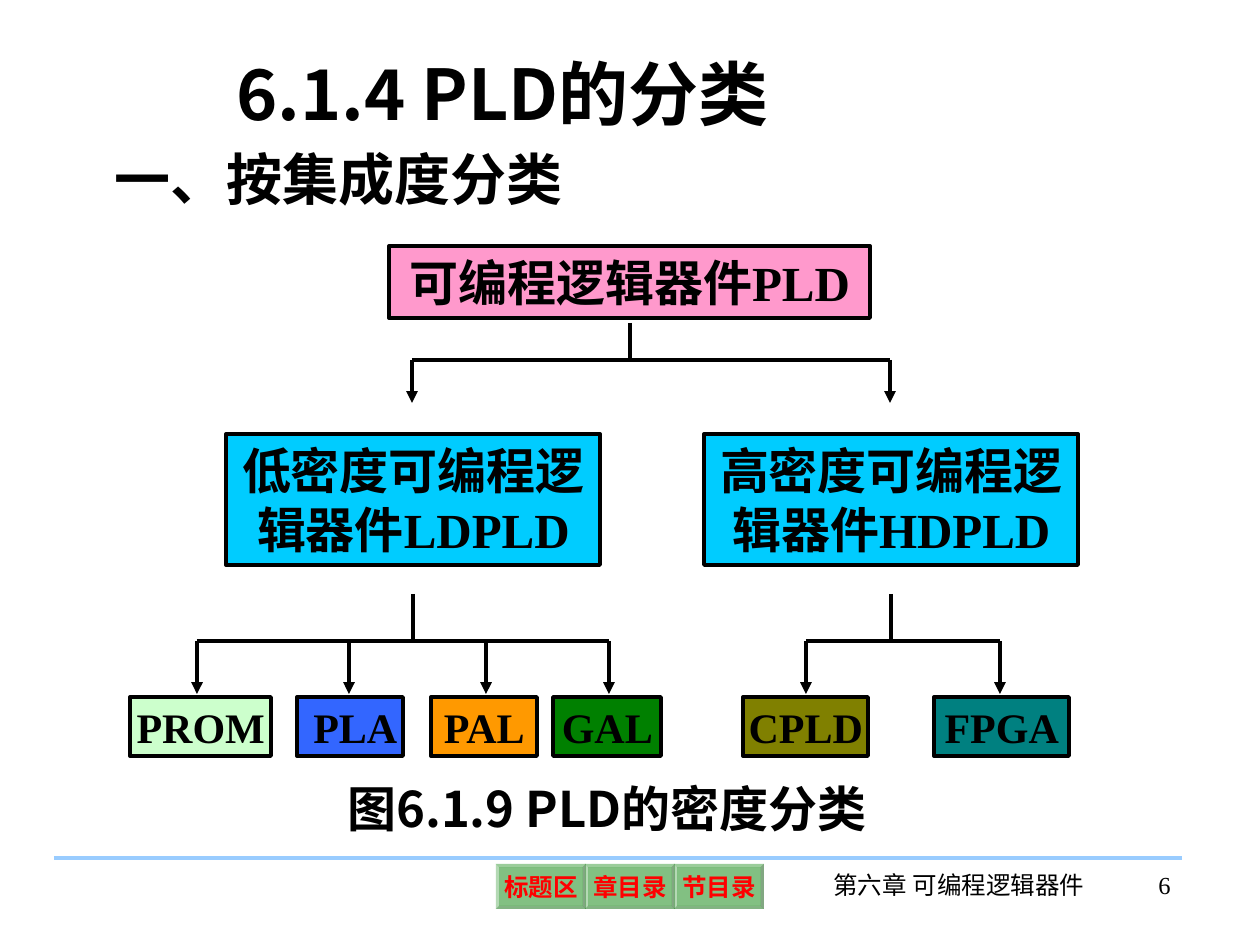
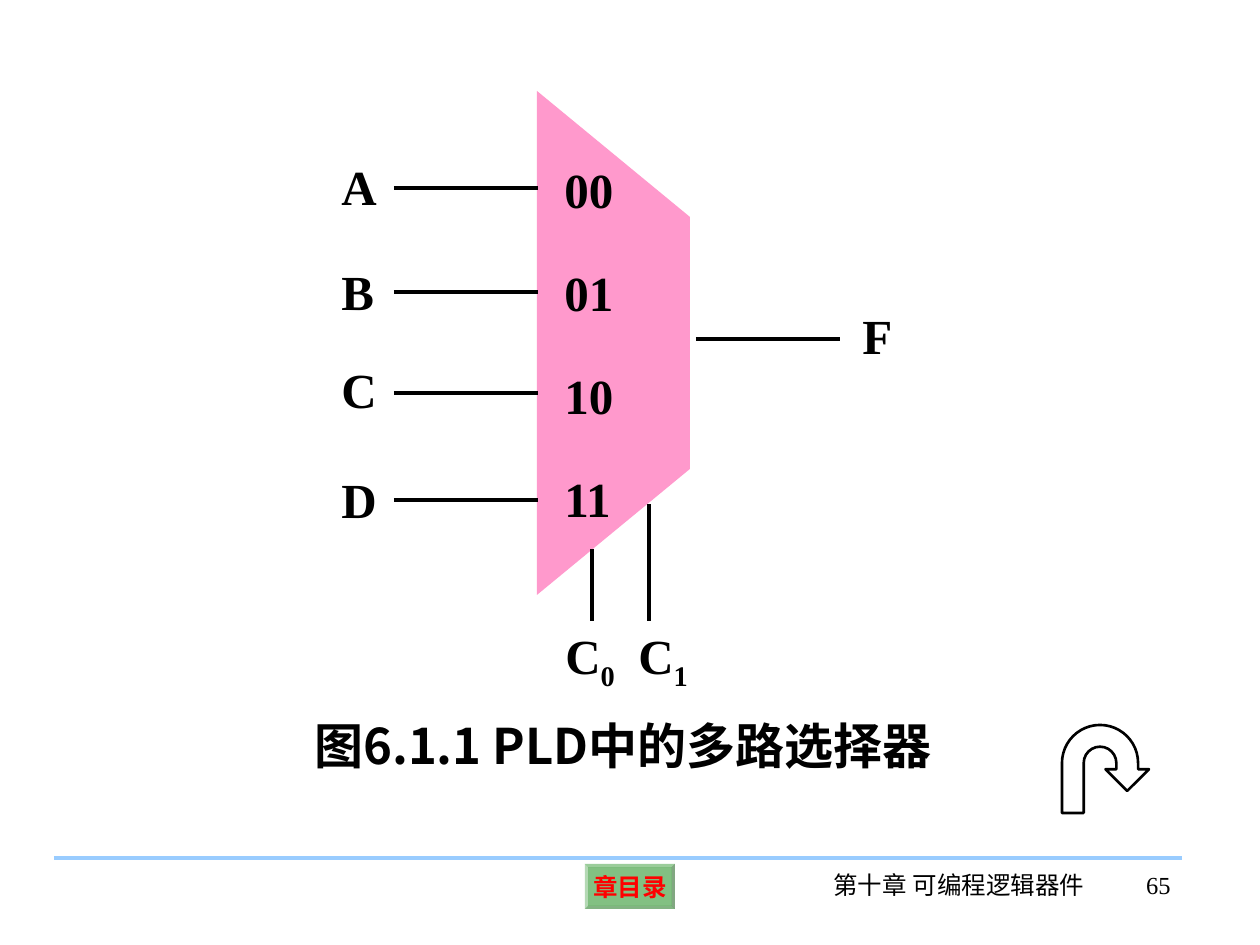
from dataclasses import dataclass

from lxml import etree
from pptx import Presentation
from pptx.dml.color import RGBColor
from pptx.enum.shapes import MSO_CONNECTOR, MSO_SHAPE
from pptx.enum.text import MSO_ANCHOR, PP_ALIGN
from pptx.oxml.ns import qn
from pptx.util import Emu, Pt

STRAIGHT = MSO_CONNECTOR.STRAIGHT
RECT, BEVEL, U_TURN = MSO_SHAPE.RECTANGLE, MSO_SHAPE.BEVEL, MSO_SHAPE.U_TURN_ARROW
LEFT, CENTER, RIGHT = PP_ALIGN.LEFT, PP_ALIGN.CENTER, PP_ALIGN.RIGHT
MIDDLE = MSO_ANCHOR.MIDDLE
PX = 914400 / 126


@dataclass(frozen=True)
class Theme:
    ink: str = "000000"
    rule: str = "99CCFF"
    button: str = "008000"
    button_text: str = "FF0000"
    pink: str = "FF99CC"
    cyan: str = "00CCFF"
    serif: str = "Times New Roman"
    sans: str = "Noto Sans CJK SC"
    title: int = 40
    heading: int = 32
    body: int = 28
    leaf: int = 24
    footer: int = 14
    stroke: float = 2.25


THEME = Theme()


def px(value):
    return Emu(round(value * PX))


def rgb(code):
    return RGBColor.from_string(code)


def write(sp, text, size, font=THEME.serif, color=THEME.ink, bold=True,
          align=LEFT, wrap=True, subscript=""):
    tf = sp.text_frame
    tf.word_wrap = wrap
    p = tf.paragraphs[0]
    p.alignment = align
    p.font.size, p.font.bold, p.font.name = Pt(size), bold, font
    p.font.color.rgb = rgb(color)
    east_asian = etree.SubElement(p._p.pPr.find(qn("a:defRPr")), qn("a:ea"))
    east_asian.set("typeface", THEME.sans)
    p.add_run().text = text
    if subscript:
        r = p.add_run()
        r.text = subscript
        r._r.get_or_add_rPr().set("baseline", "-25000")


def label(s, box, text, size=THEME.body, **style):
    write(s.shapes.add_textbox(*map(px, box)), text, size, **style)


def paint(sp, fill=None, stroke=None):
    sp.shadow.inherit = False
    if fill:
        sp.fill.solid()
        sp.fill.fore_color.rgb = rgb(fill)
    else:
        sp.fill.background()
    if stroke:
        sp.line.color.rgb = rgb(THEME.ink)
        sp.line.width = Pt(stroke)
    else:
        sp.line.fill.background()


def shape(s, kind, box, fill=None, stroke=None):
    sp = s.shapes.add_shape(kind, *map(px, box))
    paint(sp, fill, stroke)
    return sp


def line(s, x1, y1, x2, y2, color=THEME.ink, arrow=False):
    cx = s.shapes.add_connector(STRAIGHT, *map(px, (x1, y1, x2, y2)))
    cx.line.color.rgb = rgb(color)
    cx.line.width = Pt(THEME.stroke)
    sp_pr = cx._element.spPr
    if arrow:
        etree.SubElement(sp_pr.find(qn("a:ln")), qn("a:tailEnd")).set("type", "triangle")
    etree.SubElement(sp_pr, qn("a:effectLst"))


def button(s, box, text):
    sp = shape(s, BEVEL, box, THEME.button)
    sp.adjustments[0] = 0.07
    alpha = etree.SubElement(sp._element.spPr.find(".//" + qn("a:srgbClr")), qn("a:alpha"))
    alpha.set("val", "49000")
    tf = sp.text_frame
    tf.margin_left = tf.margin_right = tf.margin_top = tf.margin_bottom = px(5)
    tf.vertical_anchor = MIDDLE
    write(sp, text, THEME.footer, color=THEME.button_text, align=CENTER, wrap=False)


def footer(s, box, chapter, number, buttons):
    """Rule, navigation buttons as {slot: text}, chapter name and page number."""
    x, y, w, _ = box
    line(s, x, y, x + w, y, THEME.rule)
    for slot, text in buttons.items():
        button(s, (x + 442 + 89 * slot, y + 6, 90, 45), text)
    label(s, (x + 750, y + 6, 310, 63), chapter, THEME.footer, bold=False, align=CENTER)
    label(s, (x + w - 107, y + 6, 108, 63), number, THEME.footer, bold=False, align=RIGHT)


def node(s, box, text, fill, size=THEME.body, wrap=True, shift=0):
    """Outlined box; shift moves its centred text to the right."""
    sp = shape(s, RECT, box, fill, THEME.stroke)
    tf = sp.text_frame
    tf.vertical_anchor = MIDDLE
    tf.margin_left = px(13 + 2 * shift)
    write(sp, text, size, align=CENTER, wrap=wrap)


def branch(s, trunk, top, bus, tip, children):
    """Trunk down to a bus, with an arrow from the bus to each child."""
    line(s, trunk, top, trunk, bus)
    line(s, children[0], bus, children[-1], bus)
    for child in children:
        line(s, child, bus, child, tip, arrow=True)


def density_tree(s, box):
    x, y, _, _ = box
    node(s, (x + 259, y, 481, 72), "可编程逻辑器件PLD", THEME.pink)
    families = [(96, "低密度可编程逻辑器件LDPLD"), (574, "高密度可编程逻辑器件HDPLD")]
    for left, text in families:
        node(s, (x + left, y + 188, 374, 131), text, THEME.cyan)
    leaves = [
        (0, 141, "PROM", "CCFFCC", 0),
        (167, 106, "PLA", "3366FF", 5),
        (301, 106, "PAL", "FF9900", 0),
        (423, 108, "GAL", "008000", 0),
        (613, 125, "CPLD", "808000", 0),
        (804, 135, "FPGA", "008080", 0),
    ]
    for left, width, text, fill, shift in leaves:
        node(s, (x + left, y + 451, width, 59), text, fill, THEME.leaf, False, shift)
    branches = [
        (500, 77, 114, 157, (282, 760)),
        (283, 348, 395, 448, (67, 219, 356, 479)),
        (761, 348, 395, 448, (676, 870)),
    ]
    for trunk, top, bus, tip, children in branches:
        branch(s, x + trunk, y + top, y + bus, y + tip, [x + c for c in children])


def multiplexer(s, box):
    x, y, w, h = box
    slant = h // 4
    outline = s.shapes.build_freeform(px(x), px(y))
    corners = [(x + w, y + slant), (x + w, y + h - slant), (x, y + h)]
    outline.add_line_segments([(px(a), px(b)) for a, b in corners], close=True)
    paint(outline.convert_to_shape(), THEME.pink)

    inputs = [("A", 97, 59), ("B", 201, 164), ("C", 302, 262), ("D", 409, 372)]
    for i, (name, wire, top) in enumerate(inputs):
        label(s, (x - 208, y + top, 62, 72), name)
        line(s, x - 143, y + wire, x + 1, y + wire)
        label(s, (x + 15, y + 62 + 103 * i, 81, 72), f"{i:02b}")
    line(s, x + w + 6, y + 248, x + w + 150, y + 248)
    label(s, (x + w + 160, y + 208, 62, 72), "F")

    selects = [("0", 55, 458, 16), ("1", 112, 413, 89)]
    for index, wire, top, left in selects:
        line(s, x + wire, y + top, x + wire, y + 530)
        label(s, (x + left, y + 528, 77, 79), "C", subscript=index)


def classification_slide(prs, frame):
    s = prs.slides.add_slide(prs.slide_layouts[6])
    footer(s, frame, "第六章 可编程逻辑器件", "6", {0: "标题区", 1: "章目录", 2: "节目录"})
    label(s, (224, 44, 605, 97), "6.1.4 PLD的分类", THEME.title, font=THEME.sans)
    label(s, (102, 138, 607, 84), "一、按集成度分类", THEME.heading, font=THEME.sans)
    density_tree(s, (130, 246, 948, 510))
    label(s, (335, 772, 588, 72), "图6.1.9 PLD的密度分类", font=THEME.sans)


def multiplexer_slide(prs, frame):
    s = prs.slides.add_slide(prs.slide_layouts[6])
    footer(s, frame, "第十章 可编程逻辑器件", "65", {1: "章目录"})
    multiplexer(s, (537, 91, 153, 504))
    label(s, (302, 709, 683, 72), "图6.1.1 PLD中的多路选择器", font=THEME.sans)
    shape(s, U_TURN, (1062, 725, 87, 88), stroke=1.5)


def main():
    prs = Presentation()
    prs.slide_width, prs.slide_height = px(1260), px(945)
    frame = (54, 858, 1128, 87)
    classification_slide(prs, frame)
    multiplexer_slide(prs, frame)
    prs.save("out.pptx")


if __name__ == "__main__":
    main()
